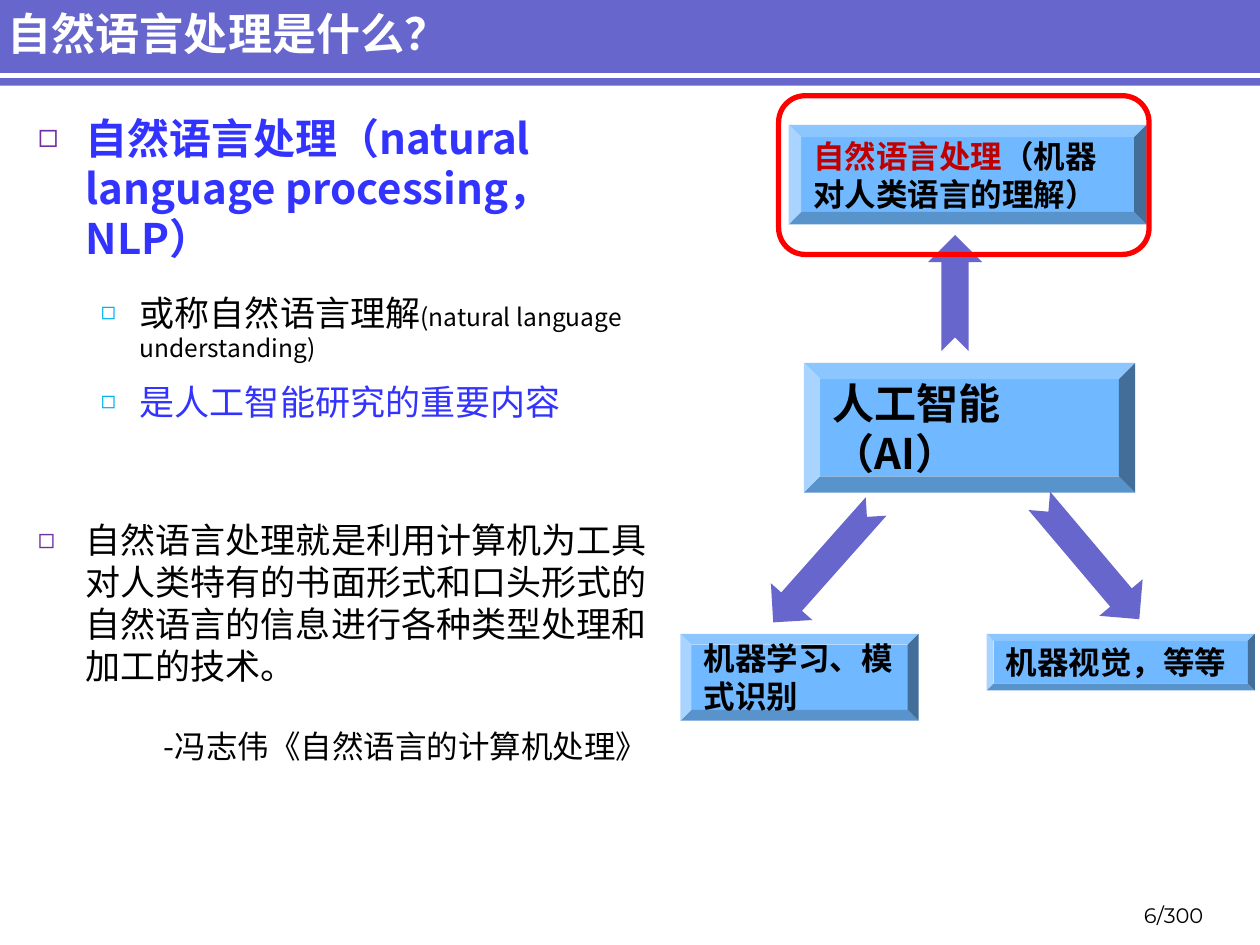
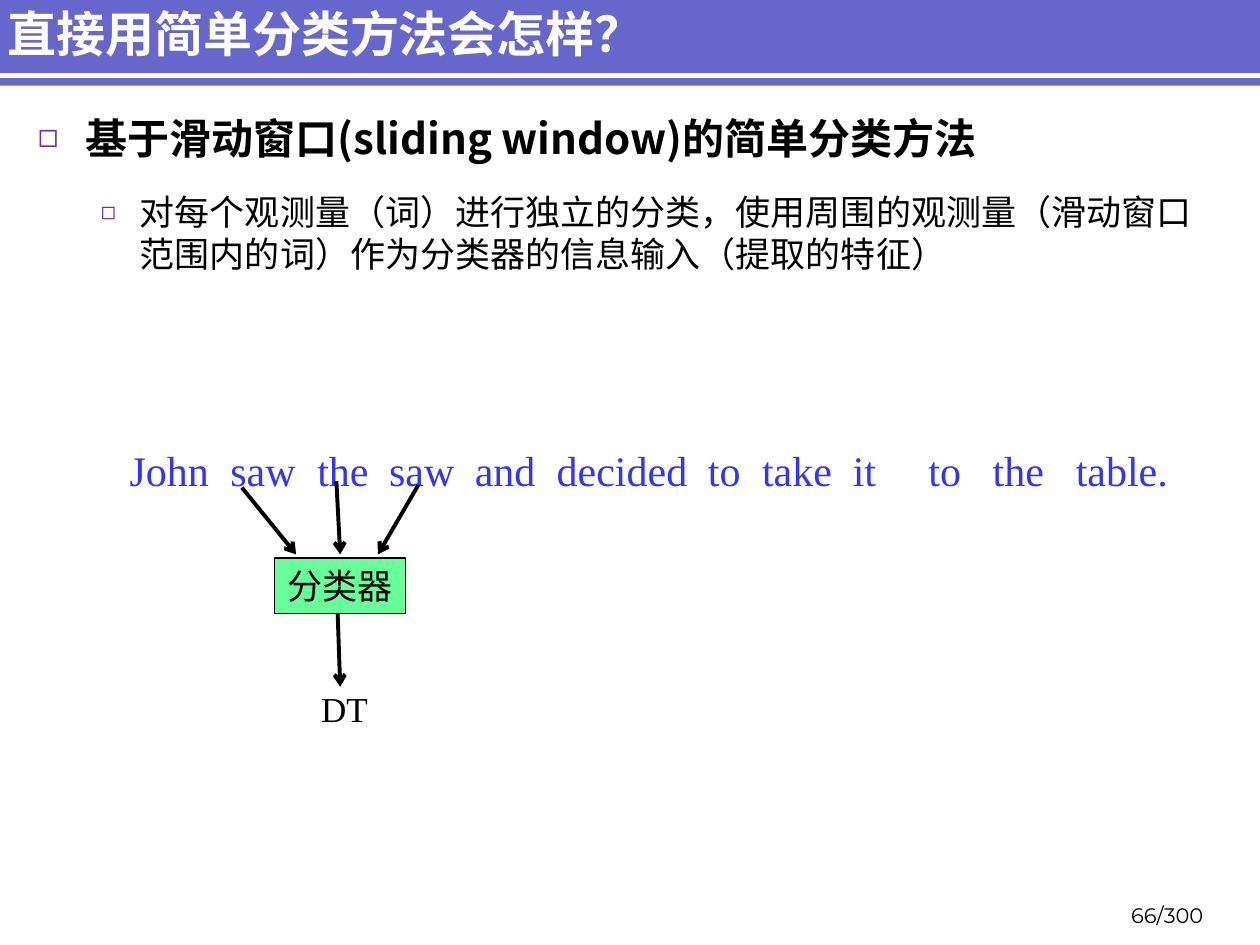
"""Build two lecture slides on natural language processing and sliding window classification."""
import pptx
import pptx.util
import pptx.dml.color
import pptx.enum.shapes
import pptx.enum.text
import pptx.oxml
import pptx.oxml.ns

Inches = pptx.util.Inches
Pt = pptx.util.Pt
SHAPE = pptx.enum.shapes.MSO_SHAPE
ANCHOR = pptx.enum.text.MSO_ANCHOR
ALIGN = pptx.enum.text.PP_ALIGN
qn = pptx.oxml.ns.qn

COLOURS = {
    "band": "6666CC", "white": "FFFFFF", "black": "000000", "blue": "3333FF",
    "purple": "7030A0", "cyan": "00B0F0", "bevel": "70B8FF", "dark red": "C00000",
    "red": "FF0000", "green": "66FF99",
}
RGB = {name: pptx.dml.color.RGBColor.from_string(value) for name, value in COLOURS.items()}
CJK, LATIN, NUMBER = "Noto Sans CJK SC", "Times New Roman", "Montserrat"


def write(para, spans, face=CJK):
    """Fill a paragraph with (text, size, colour, bold) spans."""
    for text, size, colour, bold in spans:
        span = para.add_run()
        span.text = text
        span.font.size = Pt(size)
        span.font.bold = bold
        span.font.name = face
        span.font.color.rgb = RGB[colour]
        east_asian = span.font._element.makeelement(qn("a:ea"), {"typeface": face})
        span.font._element.append(east_asian)


def draw_line(page, start, end, colour, width, arrow=False):
    """Draw a straight line, with an open arrowhead if asked."""
    points = [Inches(value) for value in (*start, *end)]
    line = page.shapes.add_connector(pptx.enum.shapes.MSO_CONNECTOR.STRAIGHT, *points)
    line.line.color.rgb = RGB[colour]
    line.line.width = Pt(width)
    properties = line.element.spPr
    if arrow:
        outline = line.line._get_or_add_ln()
        outline.append(outline.makeelement(qn("a:tailEnd"), {"type": "arrow"}))
    properties.append(properties.makeelement(qn("a:effectLst"), {}))
    return line


deck = pptx.Presentation()
deck.slide_width, deck.slide_height = Inches(10), Inches(7.5)
layout = deck.slide_layouts[1]

slides = [
    {
        "title": ("自然语言处理是什么？", 25.2),
        "number": "6/300",
        "body width": 5.06,
        "list": [
            (0, "purple", 0, [("自然语言处理（natural language processing，NLP）", 24, "blue", True)]),
            (1, "cyan", 4, [("或称自然语言理解", 20, "black", False),
                            ("(natural language\u3000understanding)".replace("\u3000", "　"),
                             14, "black", False)]),
            (1, "cyan", 4, [("是人工智能研究的重要内容", 20, "blue", False)]),
            (0, "purple", 49, [("自然语言处理就是利用计算机为工具对人类特有的书面形式和口头形式的"
                                "自然语言的信息进行各种类型处理和加工的技术。", 20, "black", False)]),
            (0, None, 11, [("-冯志伟《自然语言的计算机处理》", 18, "black", False)]),
        ],
    },
    {
        "title": ("直接用简单分类方法会怎样？", 28),
        "number": "66/300",
        "body width": 9.45,
        "list": [
            (0, "purple", 0, [("基于滑动窗口(sliding window)的简单分类方法", 24, "black", True)]),
            (1, "purple", 4, [("对每个观测量（词）进行独立的分类，使用周围的观测量（滑动窗口范围内的词）"
                               "作为分类器的信息输入（提取的特征）", 20, "black", False)]),
        ],
    },
]
LEVELS = [
    {"margin": 0.38, "hang": 0.38, "after": 12, "bullet": 80},
    {"margin": 0.81, "hang": 0.31, "after": 6, "bullet": 70},
]

pages = []
for content in slides:
    page = deck.slides.add_slide(layout)
    pages.append(page)

    title = page.shapes.title
    title.left, title.top, title.width, title.height = map(Inches, (-0.04, 0.05, 8.77, 0.43))
    title.text_frame.vertical_anchor = ANCHOR.MIDDLE
    title.text_frame.auto_size = pptx.enum.text.MSO_AUTO_SIZE.NONE
    title.text_frame.paragraphs[0].alignment = ALIGN.LEFT
    text, size = content["title"]
    write(title.text_frame.paragraphs[0], [(text, size, "white", True)])

    body = page.placeholders[1]
    body.left, body.top, body.height = map(Inches, (0.2, 0.84, 6.14))
    body.width = Inches(content["body width"])
    body.text_frame.auto_size = pptx.enum.text.MSO_AUTO_SIZE.NONE
    for index, (level, bullet, before, spans) in enumerate(content["list"]):
        para = body.text_frame.paragraphs[0] if index == 0 else body.text_frame.add_paragraph()
        rule = LEVELS[level]
        para.level = level
        properties = para._p.get_or_add_pPr()
        if bullet:
            properties.set("marL", str(Inches(rule["margin"])))
            properties.set("indent", str(-Inches(rule["hang"])))
            colour = pptx.oxml.ns.nsdecls("a")
            for markup in (
                f'<a:buClr {colour}><a:srgbClr val="{COLOURS[bullet]}"/></a:buClr>',
                f'<a:buSzPct {colour} val="{rule["bullet"] * 1000}"/>',
                f'<a:buChar {colour} char="◻"/>',
            ):
                properties.append(pptx.oxml.parse_xml(markup))
        else:
            properties.set("marL", "0")
            properties.set("indent", str(Inches(1)))
            properties.append(properties.makeelement(qn("a:buNone"), {}))
        para.space_before = Pt(before)
        para.space_after = Pt(rule["after"])
        write(para, spans)

    number = page.shapes.add_textbox(*map(Inches, (8.61, 7.06, 1.04, 0.35)))
    number.text_frame.word_wrap = True
    number.text_frame.vertical_anchor = ANCHOR.BOTTOM
    number.text_frame.paragraphs[0].alignment = ALIGN.RIGHT
    write(number.text_frame.paragraphs[0], [(content["number"], 12, "black", False)], NUMBER)

overview, window = pages

band = overview.shapes.add_shape(SHAPE.RECTANGLE, *map(Inches, (-0.04, -0.03, 10.04, 0.71)))
band.shadow.inherit = False
band.fill.solid()
band.fill.fore_color.rgb = RGB["band"]
band.line.fill.background()
stripe = draw_line(overview, (-0.04, 0.6), (10, 0.6), "white", 3)
for position, shared in enumerate((band, stripe), start=2):
    layout.shapes.element.insert(position, shared.element)

topics = [
    ((6.38, 2.88, 2.63, 1.03), [("人工智能（AI）", 24, "black", True)]),
    ((5.4, 5.03, 1.89, 0.69), [("机器学习、模式识别", 18, "black", True)]),
    ((7.83, 5.03, 2.13, 0.45), [("机器视觉，等等", 18, "black", True)]),
    ((6.26, 0.99, 2.84, 0.79), [("自然语言处理", 18, "dark red", True),
                                ("（机器对人类语言的理解）", 18, "black", True)]),
]
for place, spans in topics:
    topic = overview.shapes.add_shape(SHAPE.BEVEL, *map(Inches, place))
    topic.shadow.inherit = False
    topic.fill.solid()
    topic.fill.fore_color.rgb = RGB["bevel"]
    topic.line.fill.background()
    topic.text_frame.vertical_anchor = ANCHOR.MIDDLE
    topic.text_frame.paragraphs[0].alignment = ALIGN.LEFT
    write(topic.text_frame.paragraphs[0], spans)

branches = [
    ((5.93, 4.26, 1.23, 0.44), 131.6),
    ((8.03, 4.22, 1.23, 0.45), 49.8),
    ((7.12, 2.11, 0.92, 0.43), 270),
]
for place, angle in branches:
    branch = overview.shapes.add_shape(SHAPE.NOTCHED_RIGHT_ARROW, *map(Inches, place))
    branch.shadow.inherit = False
    branch.rotation = angle
    branch.fill.solid()
    branch.fill.fore_color.rgb = RGB["band"]
    branch.line.fill.background()

highlight = overview.shapes.add_shape(SHAPE.ROUNDED_RECTANGLE, *map(Inches, (6.18, 0.76, 2.94, 1.26)))
highlight.shadow.inherit = False
highlight.fill.background()
highlight.line.color.rgb = RGB["red"]
highlight.line.width = Pt(3)

sentence = window.shapes.add_textbox(*map(Inches, (0.93, 3.48, 8.51, 0.51)))
sentence.text_frame.word_wrap = True
para = sentence.text_frame.paragraphs[0]
properties = para._p.get_or_add_pPr()
tabs = properties.makeelement(qn("a:tabLst"), {})
for stop in (0.8, 1.49, 2.06, 2.74, 3.39, 4.59, 5.02, 5.74, 6.34, 6.85, 7.51):
    tabs.append(tabs.makeelement(qn("a:tab"), {"pos": str(Inches(stop)), "algn": "l"}))
properties.append(tabs)
words = "John saw the saw and decided to take it to the table.".split()
write(para, [("\t".join(words), 24, "blue", False)], LATIN)

arrows = [
    ((1.92, 3.87), (2.35, 4.4)),
    ((3.32, 3.85), (3, 4.4)),
    ((2.67, 3.82), (2.7, 4.4)),
    ((2.68, 4.87), (2.7, 5.45)),
]
for start, end in arrows:
    draw_line(window, start, end, "black", 2.25, arrow=True)

classifier = window.shapes.add_shape(SHAPE.RECTANGLE, *map(Inches, (2.18, 4.43, 1.04, 0.44)))
classifier.shadow.inherit = False
classifier.fill.solid()
classifier.fill.fore_color.rgb = RGB["green"]
classifier.line.color.rgb = RGB["black"]
classifier.line.width = Pt(1)
classifier.text_frame.vertical_anchor = ANCHOR.MIDDLE
tag = window.shapes.add_textbox(*map(Inches, (2.45, 5.41, 0.57, 0.43)))
for box, text, face in ((classifier, "分类器", CJK), (tag, "DT", LATIN)):
    box.text_frame.word_wrap = False
    box.text_frame.paragraphs[0].alignment = ALIGN.CENTER
    write(box.text_frame.paragraphs[0], [(text, 20, "black", False)], face)

deck.save("out.pptx")
